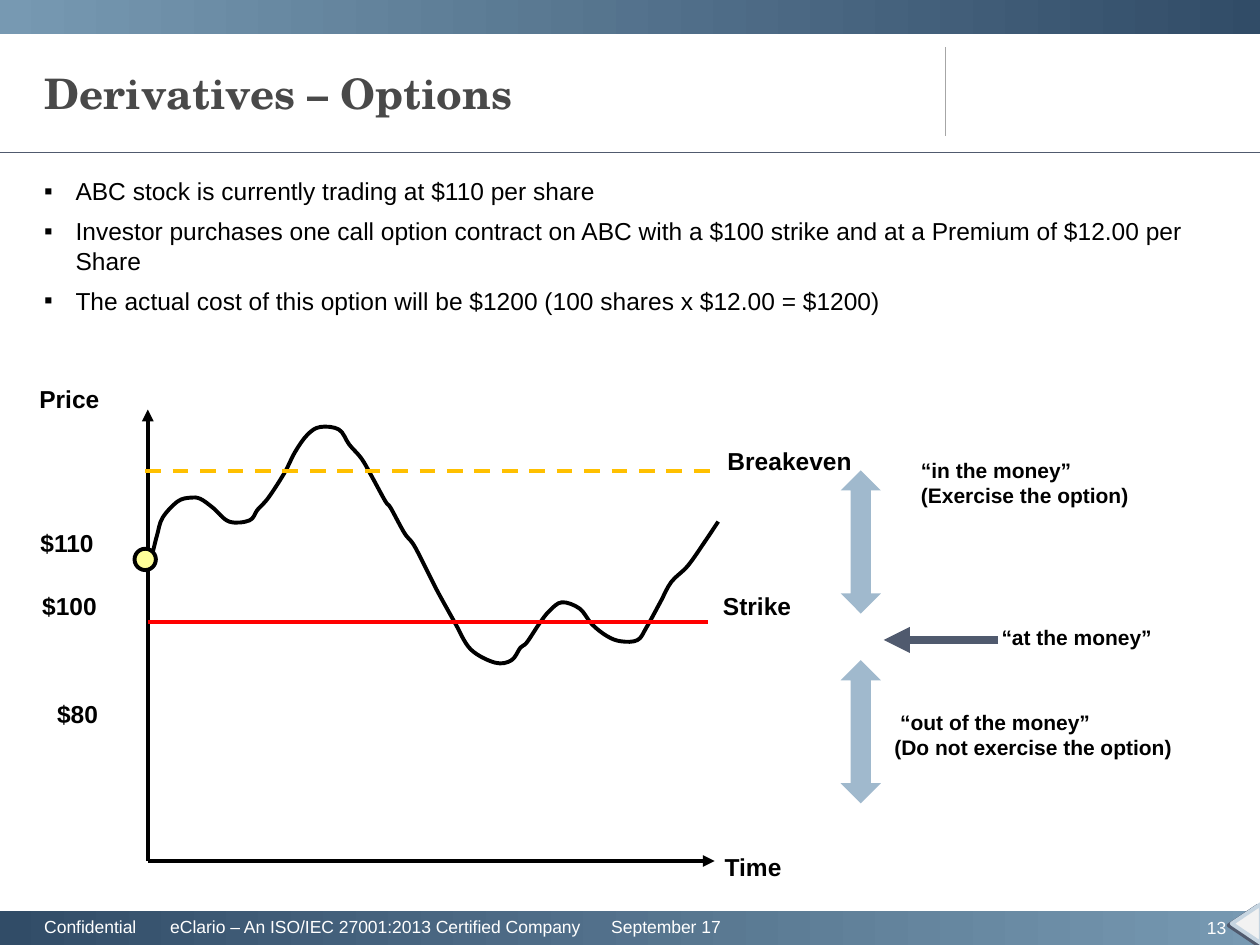
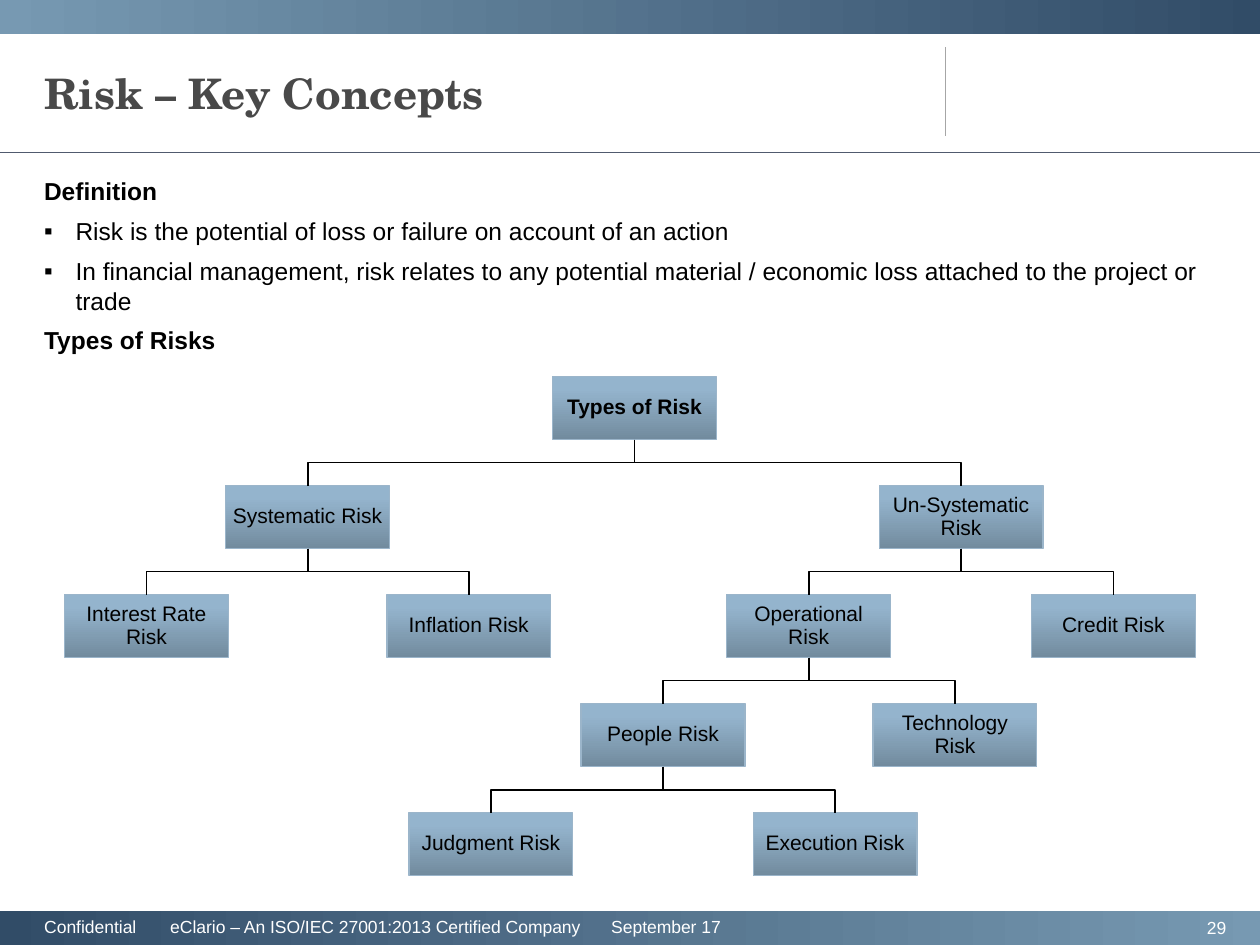
from pptx import Presentation
from pptx.dml.color import RGBColor
from pptx.enum.dml import MSO_LINE
from pptx.enum.shapes import MSO_CONNECTOR, MSO_SHAPE
from pptx.enum.text import MSO_ANCHOR, PP_ALIGN
from pptx.oxml.ns import qn
from pptx.util import Pt
from lxml import etree

STRAIGHT, ELBOW = MSO_CONNECTOR.STRAIGHT, MSO_CONNECTOR.ELBOW
RECTANGLE, ELLIPSE = MSO_SHAPE.RECTANGLE, MSO_SHAPE.OVAL
DOUBLE_ARROW, TRIANGLE = MSO_SHAPE.UP_DOWN_ARROW, MSO_SHAPE.FLOWCHART_MERGE
LEFT, CENTER, RIGHT = PP_ALIGN.LEFT, PP_ALIGN.CENTER, PP_ALIGN.RIGHT
TOP, MIDDLE = MSO_ANCHOR.TOP, MSO_ANCHOR.MIDDLE
DASH = MSO_LINE.DASH
BOTTOM_SITE, TOP_SITE = 2, 0

BLACK = RGBColor(0x00, 0x00, 0x00)
WHITE = RGBColor(0xFF, 0xFF, 0xFF)
NAVY = RGBColor(0x31, 0x4C, 0x67)
STEEL = RGBColor(0x77, 0x99, 0xB2)
SLATE = RGBColor(0x50, 0x5A, 0x6E)
GREY = RGBColor(0xA6, 0xA6, 0xA6)
TITLE_GREY = RGBColor(0x49, 0x49, 0x49)
PALE_GREY = RGBColor(0xF2, 0xF2, 0xF2)
PALE_BLUE = RGBColor(0xC6, 0xD5, 0xE1)
ARROW_BLUE = RGBColor(0xA0, 0xB9, 0xCD)
NODE_DARK = RGBColor(0x72, 0x8B, 0x9E)
NODE_LIGHT = RGBColor(0x94, 0xB4, 0xCD)
NODE_EDGE = RGBColor(0x9B, 0xB5, 0xCA)
RED = RGBColor(0xFF, 0x00, 0x00)
AMBER = RGBColor(0xFF, 0xC0, 0x00)
YELLOW = RGBColor(0xFF, 0xFF, 0x99)

BODY_FONT, TITLE_FONT = "Arial", "TeX Gyre Schola"
FOOTER = ("Confidential\teClario – An ISO/IEC 27001:2013 Certified Company"
          "\tSeptember 17")

PRICE_KNOTS = [
    (82, 319.7), (86.4, 317.5), (89.6, 306.4), (92.9, 295.9), (101.5, 286.6),
    (108.7, 284.4), (114.5, 285.1), (121.7, 290.2), (131, 298.1),
    (142.6, 297.4), (147.1, 291.4), (153.4, 284.4), (162.7, 270),
    (168.5, 258.5), (175.7, 248.4), (183.1, 244), (193.7, 245.5),
    (199.6, 254.1), (206.6, 262.1), (212.4, 272.2), (220.3, 286.6),
    (223.2, 290.2), (231.1, 304.6), (236.2, 311), (241.9, 321.8),
    (249.1, 336.2), (257, 350.6), (260.6, 357.1), (269.1, 371.2),
    (283, 378.7), (292.3, 377.3), (297.4, 370.1), (301, 367.2),
    (308.2, 356.4), (313.9, 349.2), (321.1, 344.2), (331.2, 347.8),
    (338.3, 356.8), (347, 363.6), (354.9, 366.5), (364.3, 365.8),
    (369.4, 358.6), (377.3, 344.2), (383.6, 332.6), (393.1, 323.3),
    (403.2, 308.9), (410.4, 298.1)]

NODE_WIDTH, NODE_HEIGHT = 93.6, 36
FIRST_ROW, ROW_STEP = 215.2, 62.3
# name: (left, row, parent)
RISKS = {
    "Types of Risk": (315.8, 0, None),
    "Systematic Risk": (129, 1, "Types of Risk"),
    "Un-Systematic Risk": (502.4, 1, "Types of Risk"),
    "Interest Rate Risk": (36.9, 2, "Systematic Risk"),
    "Inflation Risk": (221.1, 2, "Systematic Risk"),
    "Operational Risk": (415.3, 2, "Un-Systematic Risk"),
    "Credit Risk": (589.5, 2, "Un-Systematic Risk"),
    "People Risk": (332.1, 3, "Operational Risk"),
    "Technology Risk": (498.9, 3, "Operational Risk"),
    "Judgment Risk": (233.8, 4, "People Risk"),
    "Execution Risk": (430.4, 4, "People Risk"),
}


def style_paragraph(para, text, size=14, color=BLACK, bold=False,
                    font=BODY_FONT, align=LEFT):
    para.text = text
    para.alignment = align
    para.font.name, para.font.size = font, Pt(size)
    para.font.bold, para.font.color.rgb = bold, color


def add_text(page, text, left, top, width, height, anchor=TOP, inset=7.2, **style):
    """Add a text box with one paragraph for each line of text."""
    box = page.shapes.add_textbox(Pt(left), Pt(top), Pt(width), Pt(height))
    frame = box.text_frame
    frame.word_wrap, frame.vertical_anchor = True, anchor
    frame.margin_left = frame.margin_right = Pt(inset)
    for index, line in enumerate(text.split("\n")):
        para = frame.add_paragraph() if index else frame.paragraphs[0]
        style_paragraph(para, line, **style)
    return box


def add_tabs(para, *positions):
    tabs = etree.SubElement(para._p.get_or_add_pPr(), qn("a:tabLst"))
    for position in positions:
        etree.SubElement(tabs, qn("a:tab"), pos=str(Pt(position)), algn="l")


def add_bullet(para):
    properties = para._p.get_or_add_pPr()
    properties.set("marL", str(Pt(18)))
    properties.set("indent", str(Pt(-18)))
    etree.SubElement(properties, qn("a:buFont"), typeface=BODY_FONT)
    etree.SubElement(properties, qn("a:buChar"), char="▪")


def add_body(page, items, height):
    """Add the body text from pairs of kind ("heading" or "bullet") and text."""
    frame = add_text(page, "", 18.1, 97.2, 684, height).text_frame
    for index, (kind, text) in enumerate(items):
        para = frame.add_paragraph() if index else frame.paragraphs[0]
        para.space_after = Pt(6)
        if kind == "bullet":
            add_bullet(para)
        style_paragraph(para, text, bold=kind == "heading")


def add_block(page, preset, left, top, width, height, fill=None, line=None, weight=1):
    shape = page.shapes.add_shape(preset, Pt(left), Pt(top), Pt(width), Pt(height))
    shape.shadow.inherit = False
    if fill is not None:
        shape.fill.solid()
        shape.fill.fore_color.rgb = fill
    if line is None:
        shape.line.fill.background()
    else:
        shape.line.color.rgb, shape.line.width = line, Pt(weight)
    return shape


def fill_gradient(shape, start, end, angle=0, end_position=1.0):
    shape.fill.gradient()
    shape.fill.gradient_angle = angle
    first, last = shape.fill.gradient_stops
    first.color.rgb, last.color.rgb = start, end
    last.position = end_position


def style_line(connector, color, weight):
    connector.line.color.rgb, connector.line.width = color, Pt(weight)
    etree.SubElement(connector.element.spPr, qn("a:effectLst"))


def add_line(page, start, end, color=BLACK, weight=2.25, dash=None, arrow=False):
    points = [Pt(value) for value in (*start, *end)]
    connector = page.shapes.add_connector(STRAIGHT, *points)
    style_line(connector, color, weight)
    if dash is not None:
        connector.line.dash_style = dash
    if arrow:
        etree.SubElement(connector.line._get_or_add_ln(), qn("a:tailEnd"), type="triangle")


def add_branch(page, parent, child):
    """Join parent's bottom to child's top, turning halfway down."""
    connector = page.shapes.add_connector(ELBOW, 0, 0, 0, 0)
    connector.begin_connect(parent, BOTTOM_SITE)
    connector.end_connect(child, TOP_SITE)
    start_x = parent.left + parent.width // 2
    end_x = child.left + child.width // 2
    start_y, end_y = parent.top + parent.height, child.top
    run, drop = abs(end_x - start_x), end_y - start_y
    goes_right = end_x > start_x
    # The preset leaves sideways, so it is turned a quarter round its centre.
    connector.left = (start_x + end_x - drop) // 2
    connector.top = (start_y + end_y - run) // 2
    connector.width, connector.height = drop, run
    connector.rotation = 270 if goes_right else 90
    connector.element.flipH = goes_right
    connector.element.flipV = False
    style_line(connector, BLACK, 1)


def round_segments(shape):
    """Turn the straight segments of a freeform into one smooth curve."""
    outline = shape.element.spPr
    knots = [(int(point.get("x")), int(point.get("y")))
             for point in outline.iter(qn("a:pt"))]
    padded = [knots[0], *knots, knots[-1]]
    for index, segment in enumerate(list(outline.iter(qn("a:lnTo")))):
        before, start, end, after = padded[index:index + 4]
        leave = [s + (e - b) // 6 for b, s, e in zip(before, start, end)]
        arrive = [e - (a - s) // 6 for s, e, a in zip(start, end, after)]
        curve = etree.Element(qn("a:cubicBezTo"))
        for x, y in (leave, arrive, end):
            etree.SubElement(curve, qn("a:pt"), x=str(x), y=str(y))
        segment.getparent().replace(segment, curve)


def add_curve(page, knots):
    points = [(Pt(x), Pt(y)) for x, y in knots]
    builder = page.shapes.build_freeform(*points[0])
    builder.add_line_segments(points[1:], close=False)
    curve = builder.convert_to_shape()
    round_segments(curve)
    curve.shadow.inherit = False
    curve.fill.background()
    curve.line.color.rgb, curve.line.width = BLACK, Pt(2.25)


def add_corner_marker(page):
    marker = add_block(page, TRIANGLE, 701, 519.5, 22.3, 16.6, PALE_GREY, PALE_BLUE, 2.25)
    marker.rotation = 90
    effects = marker.element.spPr.find(qn("a:effectLst"))
    shadow = etree.SubElement(effects, qn("a:outerShdw"), dist=str(Pt(2)),
                              dir=str(150 * 60000), rotWithShape="0")
    etree.SubElement(shadow, qn("a:srgbClr"), val=str(SLATE))


def add_page(deck, title, number):
    """Add a page with its bands, rules, title and footer."""
    page = deck.slides.add_slide(deck.slide_layouts[6])
    for top, start, end in ((520.6, NAVY, STEEL), (-2.2, STEEL, NAVY)):
        band = add_block(page, RECTANGLE, -0.7, top, 723.6, 21.6)
        fill_gradient(band, start, end)
    add_line(page, (540.3, 27), (540.3, 77.6), GREY, 0.75)
    add_line(page, (-0.7, 87.1), (720, 87.1), SLATE, 0.5)
    add_text(page, title, 18.3, 21.6, 502.6, 62.6, anchor=MIDDLE, size=24,
             color=TITLE_GREY, bold=True, font=TITLE_FONT)
    footer = add_text(page, "", 25.3, 519.7, 620, 19.4, anchor=MIDDLE, inset=0)
    para = footer.text_frame.paragraphs[0]
    add_tabs(para, 72, 324)
    style_paragraph(para, FOOTER, size=10, color=WHITE)
    add_text(page, str(number), 648, 520.6, 59.8, 19.4, anchor=MIDDLE,
             size=10, color=WHITE, align=RIGHT)
    return page


def build_options_page(deck):
    page = add_page(deck, "Derivatives – Options", 13)
    add_corner_marker(page)
    add_body(page, [
        ("bullet", "ABC stock is currently trading at $110 per share"),
        ("bullet", "Investor purchases one call option contract on ABC with a $100 "
                   "strike and at a Premium of $12.00 per Share"),
        ("bullet", "The actual cost of this option will be $1200 "
                   "(100 shares\u00a0x\u00a0$12.00 = $1200)"),
    ], 403.2)

    add_curve(page, PRICE_KNOTS)
    origin = (84.5, 492)
    add_line(page, origin, (84.5, 234), arrow=True)
    add_line(page, origin, (408.4, 492), arrow=True)
    add_line(page, (84.5, 355.7), (404.5, 355.7), RED)
    add_line(page, (83, 269), (407.2, 269), AMBER, dash=DASH)
    add_block(page, ELLIPSE, 76.9, 313.6, 12.2, 12.2, YELLOW, BLACK, 2.25)

    for text, left, top in (
            ("Price", 15.4, 216), ("$110", 16, 298.3), ("$100", 17, 334.2),
            ("$80", 25.5, 395.9), ("Breakeven", 408.6, 251.5),
            ("Strike", 406, 334.2), ("Time", 407, 483.3)):
        add_text(page, text, left, top, 95, 24.2, bold=True)

    for top in (268.8, 377.3):
        add_block(page, DOUBLE_ARROW, 480.4, top, 23, 81.8, ARROW_BLUE)
    add_line(page, (570.4, 365.7), (505, 365.7), SLATE, 5, arrow=True)
    add_text(page, "“in the money”\n(Exercise the option)", 519.2, 257.9, 150, 36.4,
             size=12, bold=True)
    add_text(page, "“at the money”", 565.2, 353.3, 110, 22, size=12, bold=True)
    unprofitable = add_text(page, "“out of the money”\n(Do not exercise the option)",
                            504, 401.8, 190, 36.4, size=12, bold=True)
    first = unprofitable.text_frame.paragraphs[0]
    first._p.get_or_add_pPr().set("indent", str(Pt(3.3)))


def add_node(page, text, left, row, bold):
    node = add_block(page, RECTANGLE, left, FIRST_ROW + row * ROW_STEP,
                     NODE_WIDTH, NODE_HEIGHT, line=NODE_EDGE, weight=0.75)
    fill_gradient(node, NODE_DARK, NODE_LIGHT, angle=90, end_position=0.8)
    frame = node.text_frame
    frame.word_wrap, frame.vertical_anchor = True, MIDDLE
    frame.margin_left = frame.margin_right = Pt(3.6)
    frame.margin_top = frame.margin_bottom = Pt(3.6)
    para = frame.paragraphs[0]
    para.line_spacing = 0.9
    style_paragraph(para, text, size=12, bold=bold, align=CENTER)
    return node


def build_risk_page(deck):
    page = add_page(deck, "Risk – Key Concepts", 29)
    add_body(page, [
        ("heading", "Definition"),
        ("bullet", "Risk is the potential of loss or failure on account of an action"),
        ("bullet", "In financial management, risk relates to any potential material / "
                   "economic loss attached to the project or trade"),
        ("heading", "Types of Risks"),
    ], 108)
    nodes = {}
    for name, (left, row, parent) in RISKS.items():
        nodes[name] = add_node(page, name, left, row, bold=parent is None)
        if parent:
            add_branch(page, nodes[parent], nodes[name])


def main():
    deck = Presentation()
    deck.slide_width, deck.slide_height = Pt(720), Pt(540)
    build_options_page(deck)
    build_risk_page(deck)
    deck.save("out.pptx")


if __name__ == "__main__":
    main()
